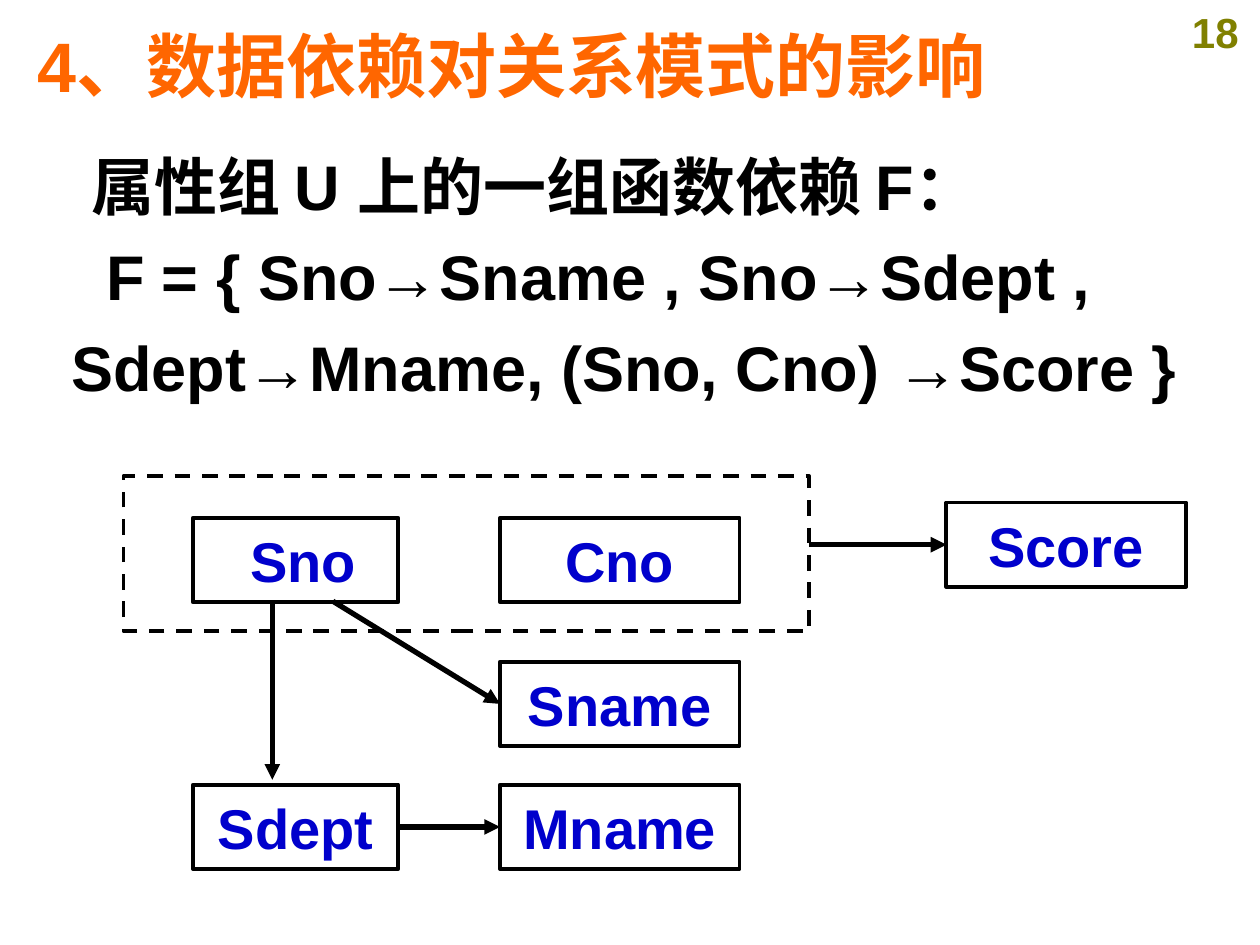
from lxml import etree
from pptx import Presentation
from pptx.dml.color import RGBColor
from pptx.enum.dml import MSO_LINE
from pptx.enum.shapes import MSO_CONNECTOR, MSO_SHAPE
from pptx.enum.text import MSO_ANCHOR, PP_ALIGN
from pptx.oxml.ns import qn
from pptx.util import Cm, Pt

DASH = MSO_LINE.DASH
LINE = MSO_CONNECTOR.STRAIGHT
RECT = MSO_SHAPE.RECTANGLE
MID, TOP = MSO_ANCHOR.MIDDLE, MSO_ANCHOR.TOP
LEFT, MIDDLE = PP_ALIGN.LEFT, PP_ALIGN.CENTER


def color(code):
    return RGBColor.from_string(code)


class Deck:
    """Holds the style and the current slide."""

    font, ink, blue = "Arial", "000000", "0000CC"

    def __init__(self):
        self.prs = Presentation()
        self.prs.slide_width, self.prs.slide_height = Cm(25.4), Cm(19.05)
        self.slide = self.prs.slides.add_slide(self.prs.slide_layouts[6])

    def style(self, para, size, code, align):
        para.alignment = align
        for run in para.runs:
            font = run.font
            font.name, font.size, font.bold = self.font, Pt(size), True
            font.color.rgb = color(code)

    def text(self, place, words, size, code, align=LEFT, anchor=TOP):
        box = self.slide.shapes.add_textbox(*map(Cm, place))
        frame = box.text_frame
        frame.word_wrap, frame.vertical_anchor = True, anchor
        frame.text = words
        for para in frame.paragraphs:
            self.style(para, size, code, align)
        return frame

    def indent(self, para, left, first):
        props = para._p.get_or_add_pPr()
        props.set("marL", str(Cm(left)))
        props.set("indent", str(Cm(first)))

    def box(self, place, words="", dash=None):
        shape = self.slide.shapes.add_shape(RECT, *map(Cm, place))
        shape.shadow.inherit = False
        shape.fill.background()
        shape.line.color.rgb = color(self.ink)
        shape.line.width = Pt(2.25)
        if dash:
            shape.line.dash_style = dash
        frame = shape.text_frame
        frame.vertical_anchor = MID
        frame.text = words
        self.style(frame.paragraphs[0], 32, self.blue, MIDDLE)
        return shape

    def arrow(self, start, end, tail=None, head=None):
        link = self.slide.shapes.add_connector(LINE, *map(Cm, start + end))
        if tail:
            link.begin_connect(tail, 3)
        if head:
            link.end_connect(head, 1)
        link.line.color.rgb = color(self.ink)
        link.line.width = Pt(3)
        tip = etree.SubElement(link.line._get_or_add_ln(), qn("a:tailEnd"))
        tip.set("type", "triangle")
        etree.SubElement(link._element.spPr, qn("a:effectLst"))


def main():
    deck = Deck()
    deck.text((23.6, 0, 1.8, 1.27), "18", 24, "808000", MIDDLE)
    deck.text((0.51, 0.33, 24.05, 1.93), "4、数据依赖对关系模式的影响",
              40, "FF6600", anchor=MID)
    body = deck.text(
        (0.43, 2.97, 24.59, 14.66),
        "属性组 U 上的一组函数依赖 F：\n"
        "F = { Sno→Sname , Sno→Sdept , Sdept→Mname, (Sno, Cno) →Score }",
        36, deck.ink)
    body.margin_top = 0
    intro, rule = body.paragraphs
    deck.indent(intro, 0.76, 0.4)
    deck.indent(rule, 0.76, 0.7)
    rule.line_spacing = 1.2

    left, mid, right = 3.89, 10.08, 19.08
    slim, wide, high = 4.14, 4.83, 1.7
    upper, lower = 10.44, 15.82
    deck.box((2.49, 9.6, 13.82, 3.12), dash=DASH)
    deck.box((left, upper, slim, high), " Sno")
    deck.box((mid, upper, wide, high), "Cno")
    score = deck.box((right, 10.13, wide, high), "Score")
    sname = deck.box((mid, 13.34, wide, high), "Sname")
    sdept = deck.box((left, lower, slim, high), "Sdept")
    mname = deck.box((mid, lower, wide, high), "Mname")

    deck.arrow((6.71, 12.12), (mid, 14.19), head=sname)
    deck.arrow((5.49, 12.17), (5.49, 15.72))
    deck.arrow((left + slim, 16.67), (mid, 16.67), sdept, mname)
    deck.arrow((16.31, 10.98), (right, 10.98), head=score)
    deck.prs.save("out.pptx")


if __name__ == "__main__":
    main()
